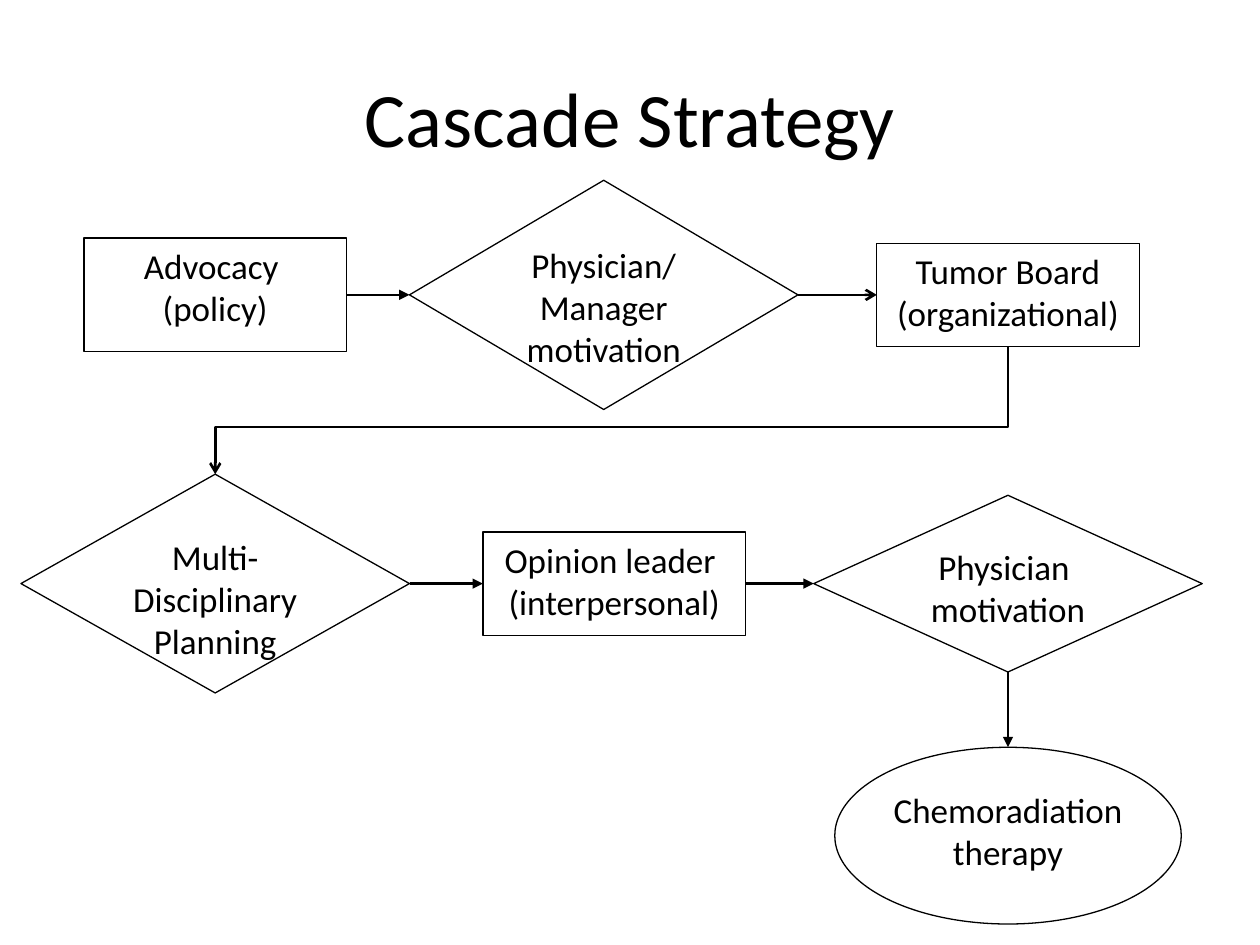
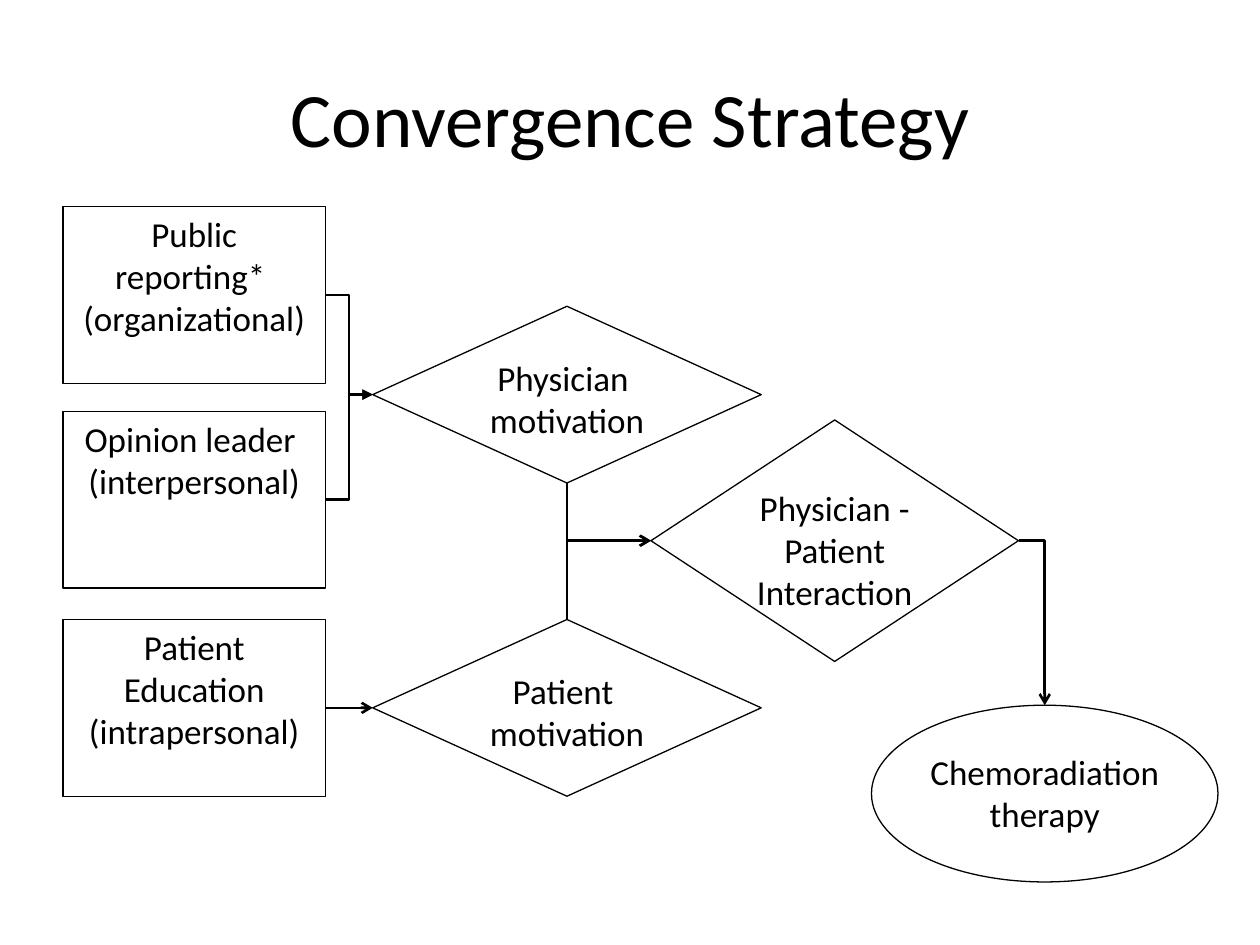
from lxml import etree
from pptx import Presentation
from pptx.dml.color import RGBColor
from pptx.enum.shapes import MSO_CONNECTOR, MSO_SHAPE
from pptx.enum.text import MSO_ANCHOR, PP_ALIGN
from pptx.oxml.ns import qn
from pptx.util import Pt

RECTANGLE, DIAMOND, OVAL = MSO_SHAPE.RECTANGLE, MSO_SHAPE.DIAMOND, MSO_SHAPE.OVAL
TOP, LEFT, BOTTOM, RIGHT = range(4)
BLACK = RGBColor.from_string("000000")
WHITE = RGBColor.from_string("FFFFFF")
TITLE_FONT = {"name": "Calibri", "size": Pt(44)}
STEP_FONT = {"name": "Calibri", "size": Pt(20)}
STEP_PARAGRAPH = {"alignment": PP_ALIGN.CENTER, "space_after": Pt(10)}
TITLE_ONLY_LAYOUT = 5

# Steps: name, outline, text, (left, top, width, height).
# Links: start, side, end, side, arrowhead, connector geometry, bend position.
STRATEGIES = [
    {
        "title": "Cascade Strategy",
        "steps": [
            ("advocacy", RECTANGLE, "Advocacy \v(policy)", (48, 136, 150, 65)),
            ("opinion leader", RECTANGLE, "Opinion leader \v(interpersonal)", (276, 304, 150, 59)),
            ("manager", DIAMOND, "Physician/ Manager\vmotivation", (234, 103, 222, 131)),
            ("therapy", OVAL, "", (477, 427, 198, 101)),
            ("therapy label", RECTANGLE, "Chemoradiation\vtherapy", (498, 447, 156, 55.5)),
            ("tumor board", RECTANGLE, "Tumor Board\v(organizational)", (501, 139, 150, 59)),
            ("planning", DIAMOND, "Multi-Disciplinary Planning", (12, 271, 222, 125)),
            ("physician", DIAMOND, "Physician \vmotivation", (465, 283, 222, 101)),
        ],
        "links": [
            ("advocacy", RIGHT, "manager", LEFT, "triangle", "line", None),
            ("manager", RIGHT, "tumor board", LEFT, "arrow", "line", None),
            ("tumor board", BOTTOM, "planning", TOP, "arrow", "bentConnector3", 0.63),
            ("planning", RIGHT, "opinion leader", LEFT, "triangle", "line", None),
            ("opinion leader", RIGHT, "physician", LEFT, "triangle", "line", None),
            ("physician", BOTTOM, "therapy", TOP, "triangle", "line", None),
        ],
    },
    {
        "title": "Convergence Strategy",
        "steps": [
            ("reporting", RECTANGLE, "Public reporting* \v(organizational)", (36, 118, 150, 101)),
            ("opinion leader", RECTANGLE, "Opinion leader \v(interpersonal)", (36, 235, 150, 101)),
            ("education", RECTANGLE, "Patient Education\v(intrapersonal)", (36, 354, 150, 101)),
            ("physician", DIAMOND, "Physician \vmotivation", (213, 175, 222, 101)),
            ("therapy", OVAL, "", (498, 403, 198, 101)),
            ("therapy label", RECTANGLE, "Chemoradiation\vtherapy", (519, 425.5, 156, 55.5)),
            ("patient", DIAMOND, "Patient \vmotivation", (213, 354, 222, 101)),
            ("interaction", DIAMOND, "Physician - Patient\vInteraction", (372, 240, 210, 138)),
        ],
        "links": [
            ("reporting", RIGHT, "physician", LEFT, "triangle", "bentConnector3", 0.5),
            ("opinion leader", RIGHT, "physician", LEFT, "triangle", "bentConnector3", 0.5),
            ("education", RIGHT, "patient", LEFT, "arrow", "line", None),
            ("physician", BOTTOM, "interaction", LEFT, "arrow", "bentConnector2", None),
            ("patient", TOP, "interaction", LEFT, "arrow", "bentConnector2", None),
            ("interaction", RIGHT, "therapy", TOP, "arrow", "bentConnector2", None),
        ],
    },
]


def set_values(target, values):
    for name, value in values.items():
        setattr(target, name, value)


def turn_upright(connector, side):
    """Rotate an elbow so that it leaves its start vertically."""
    run = connector.end_x - connector.begin_x
    rise = connector.end_y - connector.begin_y
    middle_x = (connector.begin_x + connector.end_x) // 2
    middle_y = (connector.begin_y + connector.end_y) // 2
    frame = connector._element.spPr.find(qn("a:xfrm"))
    for name in ("flipH", "flipV"):
        frame.attrib.pop(name, None)
    frame.set("rot", str((90 if side == BOTTOM else 270) * 60000))
    if (run > 0) == (side == BOTTOM):
        frame.set("flipV", "1")
    width, height = abs(rise), abs(run)
    set_values(connector, {"left": middle_x - width // 2, "top": middle_y - height // 2,
                           "width": width, "height": height})


presentation = Presentation()
presentation.slide_width, presentation.slide_height = Pt(720), Pt(540)

for strategy in STRATEGIES:
    slide = presentation.slides.add_slide(presentation.slide_layouts[TITLE_ONLY_LAYOUT])
    title = slide.shapes.title
    set_values(title, {"left": Pt(36), "top": Pt(21.6), "width": Pt(648), "height": Pt(90)})
    title.text_frame.text = strategy["title"]
    title.text_frame.vertical_anchor = MSO_ANCHOR.MIDDLE
    paragraph = title.text_frame.paragraphs[0]
    paragraph.alignment = PP_ALIGN.CENTER
    set_values(paragraph.font, TITLE_FONT)
    paragraph.font.color.rgb = BLACK

    steps = {}
    for name, outline, text, box in strategy["steps"]:
        shape = slide.shapes.add_shape(outline, *map(Pt, box))
        steps[name] = shape
        shape.shadow.inherit = False
        shape.fill.solid()
        shape.fill.fore_color.rgb = WHITE
        if name == "therapy label":
            shape.line.fill.background()
        else:
            shape.line.color.rgb = BLACK
            shape.line.width = Pt(0.75)
        if text:
            shape.text_frame.word_wrap = True
            shape.text_frame.vertical_anchor = MSO_ANCHOR.TOP
            paragraph = shape.text_frame.paragraphs[0]
            paragraph.text = text
            set_values(paragraph, STEP_PARAGRAPH)
            set_values(paragraph.font, STEP_FONT)
            paragraph.font.color.rgb = BLACK

    for start, start_side, end, end_side, arrowhead, geometry, bend in strategy["links"]:
        straight = geometry == "line"
        kind = MSO_CONNECTOR.STRAIGHT if straight else MSO_CONNECTOR.ELBOW
        connector = slide.shapes.add_connector(kind, 0, 0, 0, 0)
        connector.begin_connect(steps[start], start_side)
        connector.end_connect(steps[end], end_side)
        connector.line.color.rgb = BLACK
        connector.line.width = Pt(1.5)
        properties = connector._element.spPr
        etree.SubElement(properties.find(qn("a:ln")), qn("a:tailEnd"), type=arrowhead)
        etree.SubElement(properties, qn("a:effectLst"))
        if not straight:
            preset = properties.find(qn("a:prstGeom"))
            preset.set("prst", geometry)
            if bend is not None:
                etree.SubElement(preset.find(qn("a:avLst")), qn("a:gd"), name="adj1",
                                 fmla=f"val {round(bend * 100000)}")
            if start_side in (TOP, BOTTOM):
                turn_upright(connector, start_side)

presentation.save("out.pptx")
